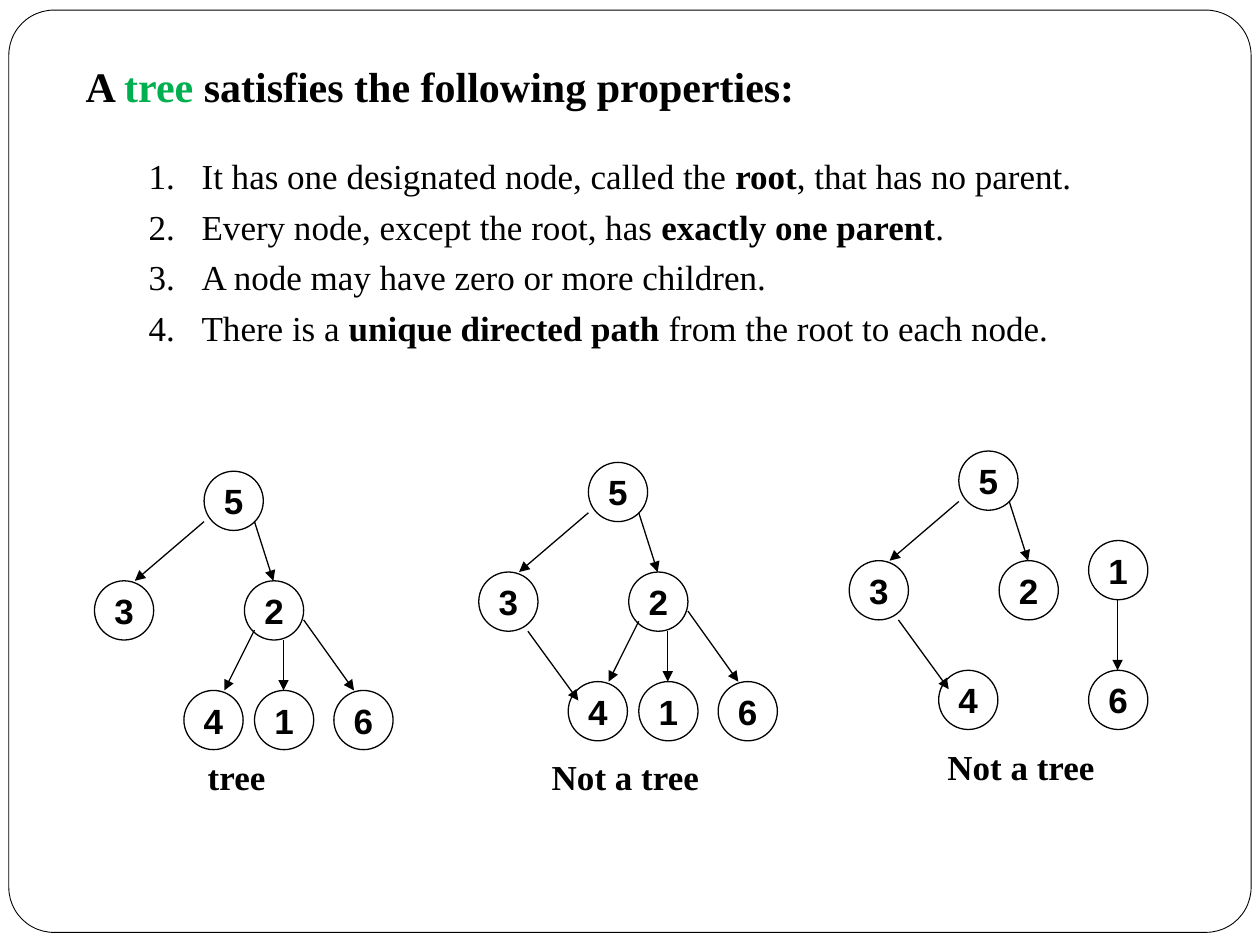
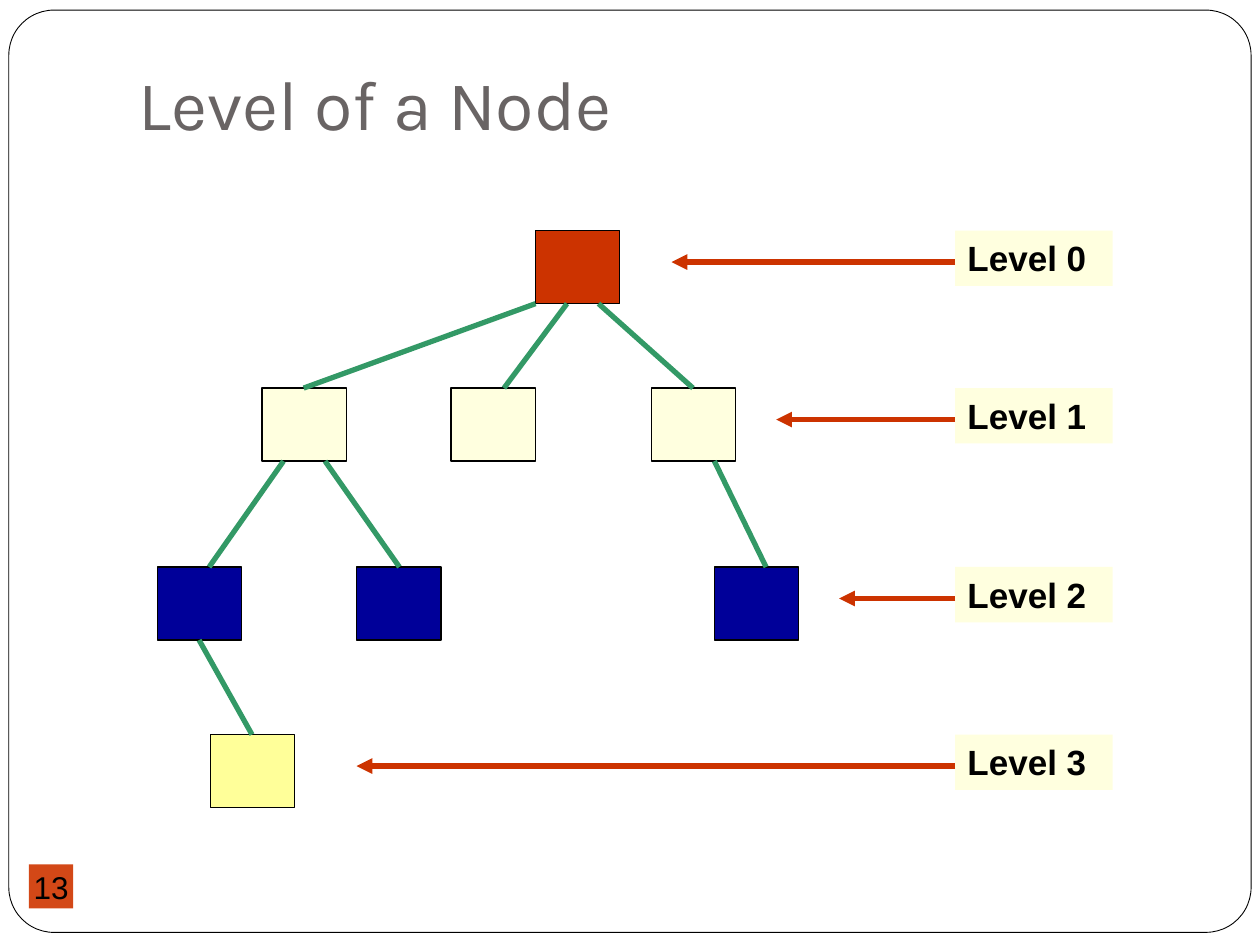
from lxml.etree import SubElement
from pptx import Presentation
from pptx.dml.color import RGBColor
from pptx.enum.shapes import MSO_CONNECTOR, MSO_SHAPE
from pptx.enum.text import MSO_ANCHOR, PP_ALIGN
from pptx.oxml.ns import qn
from pptx.util import Inches, Pt

BLACK = RGBColor(0x00, 0x00, 0x00)
GREEN = RGBColor(0x00, 0xB0, 0x50)
GREY = RGBColor(0x69, 0x64, 0x64)
ORANGE = RGBColor(0xD3, 0x48, 0x17)
RED = RGBColor(0xCC, 0x33, 0x00)
CREAM = RGBColor(0xFF, 0xFF, 0xDF)
NAVY = RGBColor(0x00, 0x00, 0x99)
YELLOW = RGBColor(0xFF, 0xFF, 0x99)
LINK_GREEN = RGBColor(0x33, 0x99, 0x66)
SERIF, SANS, TITLE_FONT = "Times New Roman", "Arial", "Karla"

# Runs are (text, bold) pairs
PROPERTIES = [
    [("It has one designated node, called the ", False), ("root", True),
     (", that has no parent.", False)],
    [("Every node, except the root, has ", False),
     ("exactly one parent", True), (".", False)],
    [("A node may have zero or more children.", False)],
    [("There is a ", False), ("unique directed path ", True),
     ("from the root to each node.", False)],
]

# Node and arrow positions are relative to the root's corner
NODE_SIZE = 0.47
FULL_NODES = {"5": (0, 0), "2": (0.32, 0.87), "3": (-0.87, 0.87),
              "4": (-0.16, 1.74), "1": (0.4, 1.74), "6": (1.03, 1.74)}
SPLIT_NODES = FULL_NODES | {"1": (1.03, 0.71)}
ARROWS = {
    "5-2": (0.4, 0.4, 0.55, 0.87),
    "5-3": (0, 0.4, -0.55, 0.87),
    "2-4": (0.4, 1.26, 0.16, 1.74),
    "2-1": (0.63, 1.34, 0.63, 1.74),
    "2-6": (0.79, 1.18, 1.19, 1.74),
    "3-4": (-0.48, 1.34, -0.08, 1.89),
    "1-6": (1.26, 1.18, 1.26, 1.74),
}
TREE_EDGES = ["5-2", "5-3", "2-4", "2-1", "2-6"]
# root corner, nodes, edges, caption, caption box (left, top, width)
GRAPHS = [
    ((1.62, 3.74), FULL_NODES, TREE_EDGES, "tree", (1.55, 5.95, 1.04)),
    ((4.67, 3.67), FULL_NODES, TREE_EDGES + ["3-4"], "Not a tree",
     (4.28, 5.95, 1.55)),
    ((7.61, 3.58), SPLIT_NODES, ["5-2", "5-3", "3-4", "1-6"], "Not a tree",
     (7.42, 5.87, 1.54)),
]

# top, fill, box lefts, arrow tip
LEVELS = [
    (1.83, RED, [4.25], 5.33),
    (3.08, CREAM, [2.08, 3.58, 5.17], 6.16),
    (4.5, NAVY, [1.25, 2.83, 5.67], 6.66),
    (5.83, YELLOW, [1.67], 2.83),
]
BOX_W, BOX_H = 0.67, 0.58
LABEL_LEFT, LABEL_W, LABEL_H = 7.58, 1.25, 0.44
# For each level, (x at the parent, x at the child) of the links below it
LINKS = [
    [(4.5, 4), (4.75, 5.5), (4.25, 2.41)],
    [(2.25, 1.66), (2.58, 3.17), (5.67, 6.08)],
    [(1.58, 2)],
]


def place(sp, left, top, width, height):
    sp.left, sp.top = Inches(left), Inches(top)
    sp.width, sp.height = Inches(width), Inches(height)


def style_run(r, font, size, color=BLACK, bold=False):
    r.font.name, r.font.size, r.font.bold = font, Pt(size), bold
    r.font.color.rgb = color


def add_run(p, text, *style):
    r = p.add_run()
    r.text = text
    style_run(r, *style)


def add_box(shapes, kind, box, fill=None, line=None, width=0.75):
    sp = shapes.add_shape(kind, *map(Inches, box))
    sp.shadow.inherit = False
    if fill is None:
        sp.fill.background()
    else:
        sp.fill.solid()
        sp.fill.fore_color.rgb = fill
    if line is None:
        sp.line.fill.background()
    else:
        sp.line.color.rgb = line
        sp.line.width = Pt(width)
    return sp


def label(sp, text, *style, align=PP_ALIGN.CENTER, anchor=MSO_ANCHOR.MIDDLE,
          wrap=False):
    tf = sp.text_frame
    tf.word_wrap, tf.vertical_anchor = wrap, anchor
    p = tf.paragraphs[0]
    p.alignment = align
    add_run(p, text, *style)


def add_line(shapes, ends, color, width, arrow=False):
    line = shapes.add_connector(MSO_CONNECTOR.STRAIGHT, *map(Inches, ends))
    line.line.color.rgb = color
    line.line.width = Pt(width)
    sp_pr = line.element.spPr
    if arrow:
        SubElement(sp_pr.find(qn("a:ln")), qn("a:tailEnd"), type="triangle")
    SubElement(sp_pr, qn("a:effectLst"))


def add_master_frame(prs, slide):
    """Draw the rounded frame on a slide, then move it behind all on the master."""
    frame = add_box(slide.shapes, MSO_SHAPE.ROUNDED_RECTANGLE,
                    (0.07, 0.08, 9.86, 7.32), line=BLACK, width=0.5)
    frame.adjustments[0] = 0.049
    prs.slide_master.shapes.element.insert(2, frame.element)


def start_title(slide, box):
    title = slide.shapes.title
    place(title, *box)
    title.text_frame.vertical_anchor = MSO_ANCHOR.MIDDLE
    p = title.text_frame.paragraphs[0]
    p.alignment = PP_ALIGN.LEFT
    return p


def fill_properties(body):
    place(body, 0.58, 1.18, 9, 1.75)
    tf = body.text_frame
    for i, runs in enumerate(PROPERTIES):
        p = tf.add_paragraph() if i else tf.paragraphs[0]
        p_pr = p._p.get_or_add_pPr()
        p_pr.set("marL", str(Inches(0.92)))
        p_pr.set("indent", str(Inches(-0.42)))
        p.space_before = Pt(4.8 if i else 0)
        SubElement(p_pr, qn("a:buFont"), typeface="+mj-lt")
        SubElement(p_pr, qn("a:buAutoNum"), type="arabicPeriod")
        for text, bold in runs:
            add_run(p, text, SERIF, 20, BLACK, bold)


def add_graph(slide, root, nodes, edges, caption, caption_box):
    x, y = root
    shapes = slide.shapes.add_group_shape().shapes
    for text, (dx, dy) in nodes.items():
        node = add_box(shapes, MSO_SHAPE.OVAL,
                       (x + dx, y + dy, NODE_SIZE, NODE_SIZE), line=BLACK)
        label(node, text, SANS, 20, BLACK, True)
    for edge in edges:
        x1, y1, x2, y2 = ARROWS[edge]
        add_line(shapes, (x + x1, y + y1, x + x2, y + y2), BLACK, 0.75, True)
    box = slide.shapes.add_textbox(*map(Inches, (*caption_box, 0.44)))
    label(box, caption, SERIF, 20, BLACK, True, align=PP_ALIGN.LEFT,
          anchor=MSO_ANCHOR.TOP, wrap=True)


def build_properties_slide(prs):
    slide = prs.slides.add_slide(prs.slide_layouts[1])
    add_master_frame(prs, slide)
    p = start_title(slide, (0.58, 0.43, 9, 0.5))
    for text, color in [("A ", BLACK), ("tree", GREEN),
                        (" satisfies the following properties:", BLACK)]:
        add_run(p, text, SERIF, 24, color, True)
    fill_properties(slide.placeholders[1])
    for graph in GRAPHS:
        add_graph(slide, *graph)


def build_levels_slide(prs):
    slide = prs.slides.add_slide(prs.slide_layouts[5])
    shapes = slide.shapes
    p = start_title(slide, (1, 0.07, 8.5, 1.48))
    add_run(p, "Level of a Node", TITLE_FONT, 40, GREY)

    number = add_box(shapes, MSO_SHAPE.RECTANGLE, (0.23, 6.86, 0.35, 0.35), ORANGE)
    tf = number.text_frame
    tf.margin_left = tf.margin_right = tf.margin_top = tf.margin_bottom = 0
    label(number, "13", SANS, 18)

    for i, (top, fill, lefts, tip) in enumerate(LEVELS):
        for left in lefts:
            add_box(shapes, MSO_SHAPE.RECTANGLE, (left, top, BOX_W, BOX_H), fill, BLACK)
        tag = add_box(shapes, MSO_SHAPE.RECTANGLE,
                      (LABEL_LEFT, top, LABEL_W, LABEL_H), CREAM)
        label(tag, f"Level {i}", SANS, 20, BLACK, True, align=PP_ALIGN.LEFT,
              anchor=MSO_ANCHOR.TOP, wrap=True)
        arrow_y = top + 0.25
        add_line(shapes, (LABEL_LEFT, arrow_y, tip, arrow_y), RED, 3, True)

    for parent, child, links in zip(LEVELS, LEVELS[1:], LINKS):
        for x1, x2 in links:
            add_line(shapes, (x1, parent[0] + BOX_H, x2, child[0]), LINK_GREEN, 3)


def main():
    prs = Presentation()
    prs.slide_width, prs.slide_height = Inches(10), Inches(7.5)
    build_properties_slide(prs)
    build_levels_slide(prs)
    prs.save("out.pptx")


if __name__ == "__main__":
    main()
